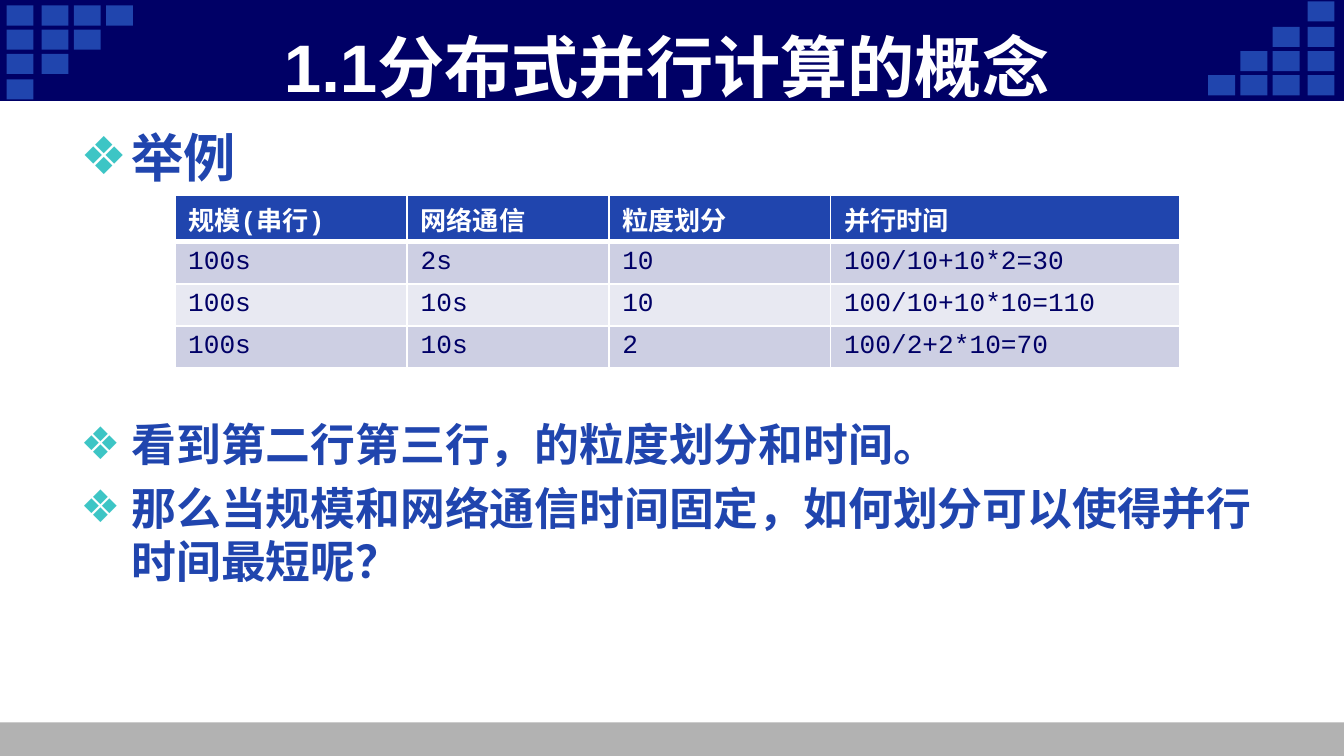
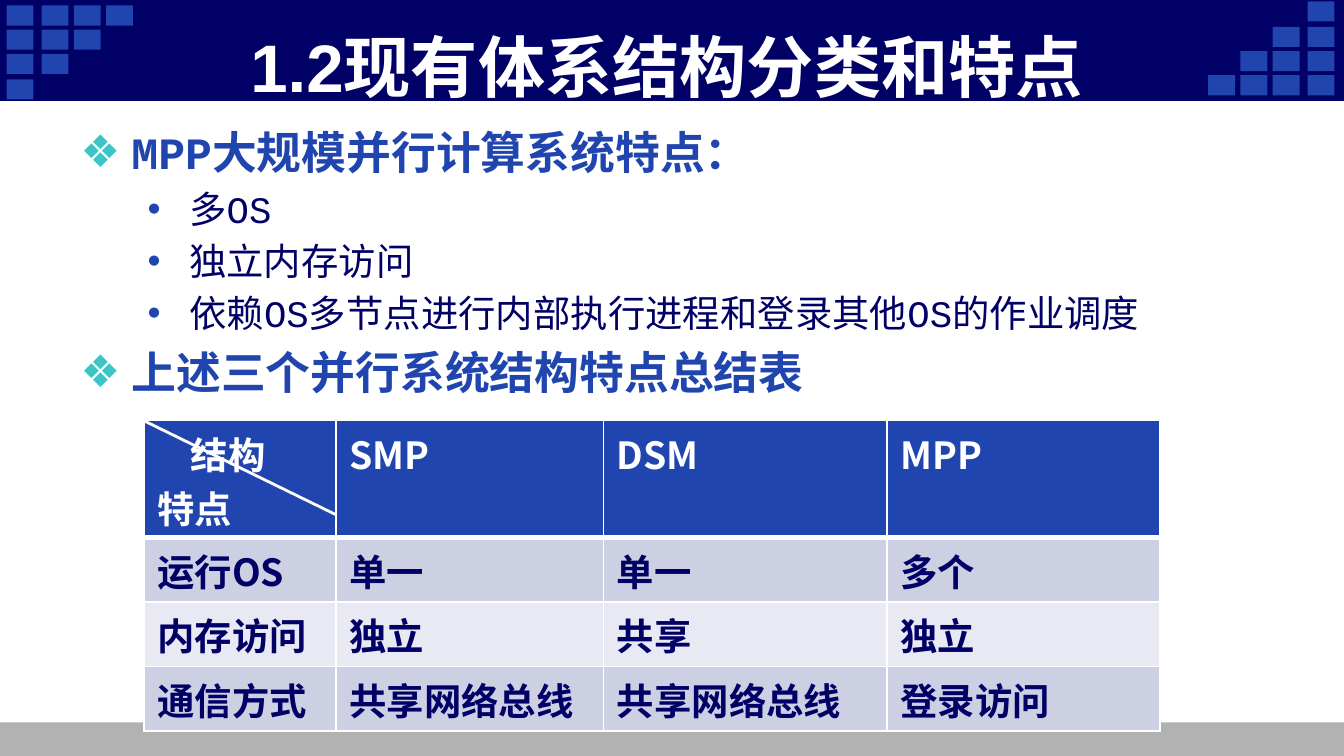
from lxml.etree import SubElement as Sub
from pptx import Presentation
from pptx.dml.color import RGBColor
from pptx.enum.shapes import MSO_CONNECTOR as Link, MSO_SHAPE as Shape
from pptx.enum.text import MSO_ANCHOR as Anchor, PP_ALIGN as Align
from pptx.oxml.ns import qn
from pptx.util import Inches, Pt

WHITE = RGBColor(0xFF, 0xFF, 0xFF)
NAVY = RGBColor(0x00, 0x00, 0x66)
BLUE = RGBColor(0x20, 0x45, 0xAE)
TEAL = RGBColor(0x3D, 0xC5, 0xC5)
GRAY = RGBColor(0xB2, 0xB2, 0xB2)
STRIPES = RGBColor(0xCD, 0xCF, 0xE3), RGBColor(0xE8, 0xE9, 0xF2)
SANS, MONO, CJK = "Arial", "Courier New", "Noto Sans CJK SC"

WIDTH = 10
HEIGHT = WIDTH * 9 / 16
BAND, FOOT = 0.75, 0.25
BLOCK = 0.2, 0.15
BLOCK_COLS = 0.05, 0.31, 0.55, 0.79
BLOCK_ROWS = 0.04, 0.22, 0.4, 0.59

# Per level: bullet, bullet colour, text colour, bold, margin, hanging indent
LEVELS = [
    ("❖", TEAL, BLUE, True, 0.38, 0.38),
    ("•", BLUE, NAVY, False, 0.81, 0.31),
]
TABLE_GAP = 123  # points left free for the table between two bullets

SLIDES = [
    {
        "title": "1.1分布式并行计算的概念",
        # level, size, space before, text
        "body": [
            (0, 28, 6, "举例"),
            (0, 24, TABLE_GAP, "看到第二行第三行，的粒度划分和时间。"),
            (0, 24, 5, "那么当规模和网络通信时间固定，如何划分可以使得并行时间最短呢？"),
        ],
        "table": {
            "at": (1.3, 1.45),
            "cols": [1.73, 1.5, 1.65, 2.6],
            "rows": [0.35, 0.31, 0.3, 0.3],
            "font": (MONO, 14),
            "bold": False,
            "cells": [
                ["规模(串行)", "网络通信", "粒度划分", "并行时间"],
                ["100s", "2s", "10", "100/10+10*2=30"],
                ["100s", "10s", "10", "100/10+10*10=110"],
                ["100s", "10s", "2", "100/2+2*10=70"],
            ],
        },
    },
    {
        "title": "1.2现有体系结构分类和特点",
        "body": [
            (0, 24, 5, "MPP大规模并行计算系统特点："),
            (1, 20, 4, "多OS"),
            (1, 20, 4, "独立内存访问"),
            (1, 20, 4, "依赖OS多节点进行内部执行进程和登录其他OS的作业调度"),
            (0, 24, 5, "上述三个并行系统结构特点总结表"),
        ],
        "table": {
            "at": (1.07, 3.13),
            "cols": [1.43, 1.99, 2.11, 2.03],
            "rows": [0.87, 0.48, 0.48, 0.48],
            "font": (CJK, 20),
            "bold": True,
            "split": True,
            "cells": [
                ["结构\n特点", "SMP", "DSM", "MPP"],
                ["运行OS", "单一", "单一", "多个"],
                ["内存访问", "独立", "共享", "独立"],
                ["通信方式", "共享网络总线", "共享网络总线", "登录访问"],
            ],
        },
    },
]


def inches(*sizes):
    return [Inches(size) for size in sizes]


def style(para, face, size, color, bold, asian=None):
    font = para.font
    font.name, font.size, font.bold = face, Pt(size), bold
    font.color.rgb = color
    props = para._p.get_or_add_pPr().find(qn("a:defRPr"))
    Sub(props, qn("a:ea"), typeface=asian or face)


def indent(para, margin, hang=0):
    props = para._p.get_or_add_pPr()
    props.set("marL", str(Inches(margin)))
    props.set("indent", str(-Inches(hang)))
    return props


def add_color(parent, color):
    fill = Sub(parent, qn("a:solidFill"))
    Sub(fill, qn("a:srgbClr"), val=str(color))


def add_rect(slide, box, color):
    rect = slide.shapes.add_shape(Shape.RECTANGLE, *inches(*box))
    rect.shadow.inherit = False
    rect.fill.solid()
    rect.fill.fore_color.rgb = color
    rect.line.fill.background()
    return rect


def add_frame(slide, layout):
    """Draw the bands and corner blocks, then hand them to the layout."""
    wide, high = BLOCK
    band = add_rect(slide, (0, 0, WIDTH, BAND), NAVY)
    band.line.color.rgb = NAVY
    band.line.width = Pt(0.75)
    rects = [add_rect(slide, (0, HEIGHT - FOOT, WIDTH, FOOT), GRAY), band]
    for row, top in enumerate(BLOCK_ROWS):
        for left in BLOCK_COLS[:len(BLOCK_COLS) - row]:
            turned = WIDTH - 0.02 - wide - left, BAND - high - top
            for spot in ((left, top), turned):
                rects.append(add_rect(slide, (*spot, *BLOCK), BLUE))
    tree = layout.shapes.element
    for place, rect in enumerate(rects, 2):
        tree.insert(place, rect.element)


def add_title(slide, text):
    title = slide.shapes.title
    title.left, title.top, title.width, title.height = inches(
        0.92, 0.26, 8.08, 0.46)
    frame = title.text_frame
    frame.text = text
    frame.vertical_anchor = Anchor.MIDDLE
    para = frame.paragraphs[0]
    para.alignment = Align.CENTER
    style(para, SANS, 36, WHITE, True)


def add_body(slide, items):
    frame = slide.shapes.add_textbox(*inches(0.5, 0.88, 9, 4.3)).text_frame
    frame.word_wrap = True
    for index, (level, size, gap, text) in enumerate(items):
        mark, tint, color, bold, margin, hang = LEVELS[level]
        para = frame.add_paragraph() if index else frame.paragraphs[0]
        para.text, para.level = text, level
        para.space_before = Pt(gap)
        props = indent(para, margin, hang)
        Sub(Sub(props, qn("a:buClr")), qn("a:srgbClr"), val=str(tint))
        Sub(props, qn("a:buFont"), typeface=SANS)
        Sub(props, qn("a:buChar"), char=mark)
        style(para, MONO, size, color, bold)


def add_edges(cell, head, below):
    """Rule a cell in white, with a thick line under the header row."""
    props = cell._tc.get_or_add_tcPr()
    widths = {"lnL": 1, "lnR": 1, "lnT": 3 if below else 1,
              "lnB": 3 if head else 1}
    for side, width in widths.items():
        add_color(Sub(props, qn("a:" + side), w=str(Pt(width))), WHITE)


def add_table(slide, plan):
    left, top = plan["at"]
    cols, rows = plan["cols"], plan["rows"]
    table = slide.shapes.add_table(
        len(rows), len(cols),
        *inches(left, top, sum(cols), sum(rows))).table
    for col, width in zip(table.columns, cols):
        col.width = Inches(width)
    for row, height in zip(table.rows, rows):
        row.height = Inches(height)
    for r, texts in enumerate(plan["cells"]):
        head = r == 0
        for c, text in enumerate(texts):
            cell = table.cell(r, c)
            cell.text = text
            cell.margin_top = cell.margin_bottom = Inches(0.04)
            add_edges(cell, head, r == 1)
            cell.fill.solid()
            cell.fill.fore_color.rgb = BLUE if head else STRIPES[(r - 1) % 2]
            for para in cell.text_frame.paragraphs:
                style(para, *plan["font"], WHITE if head else NAVY,
                      head or plan["bold"], CJK)
    if plan.get("split"):
        indent(table.cell(0, 0).text_frame.paragraphs[0], 0.25)
        line = slide.shapes.add_connector(Link.STRAIGHT, *inches(
            left, top, left + cols[0], top + 0.7))
        line.line.color.rgb = WHITE
        line.line.width = Pt(1.5)
        Sub(line.element.spPr, qn("a:effectLst"))


def main():
    deck = Presentation()
    deck.slide_width, deck.slide_height = inches(WIDTH, HEIGHT)
    layout = deck.slide_layouts[5]
    for index, page in enumerate(SLIDES):
        slide = deck.slides.add_slide(layout)
        if index == 0:
            add_frame(slide, layout)
        add_title(slide, page["title"])
        add_body(slide, page["body"])
        add_table(slide, page["table"])
    deck.save("out.pptx")


if __name__ == "__main__":
    main()
